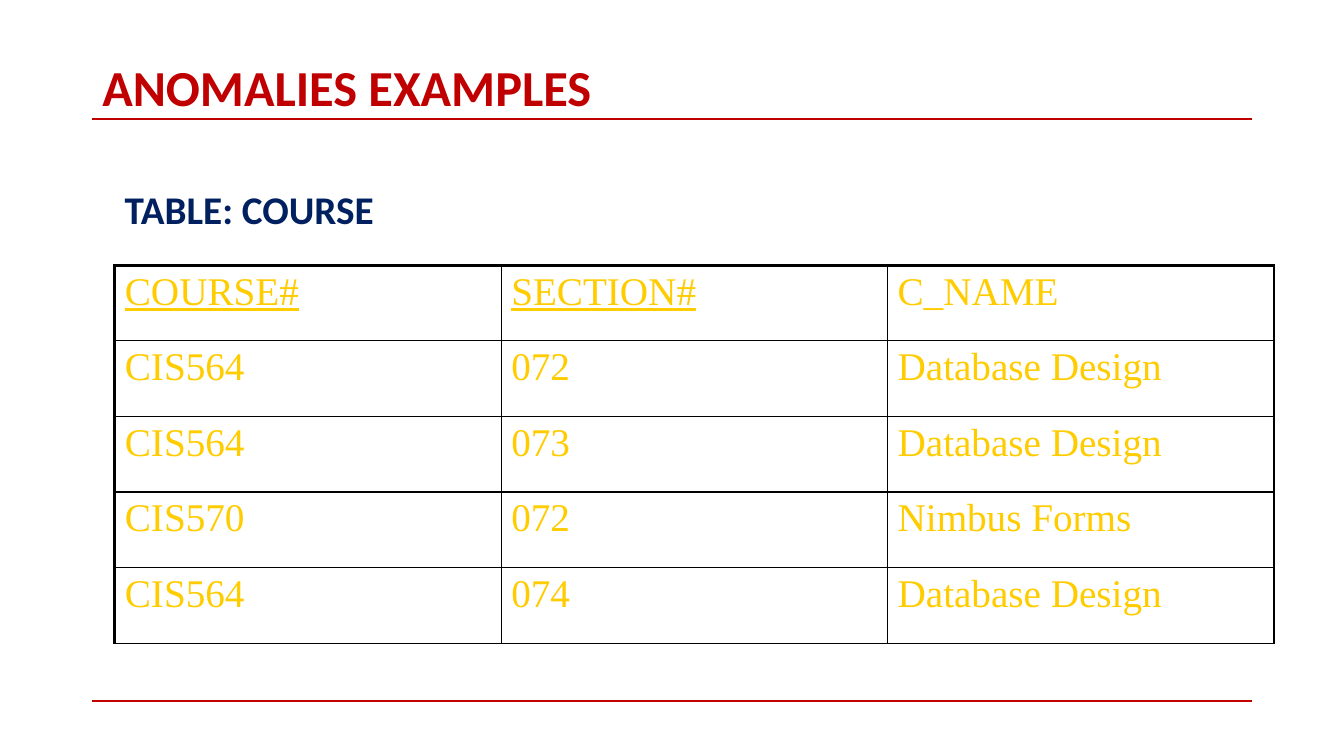
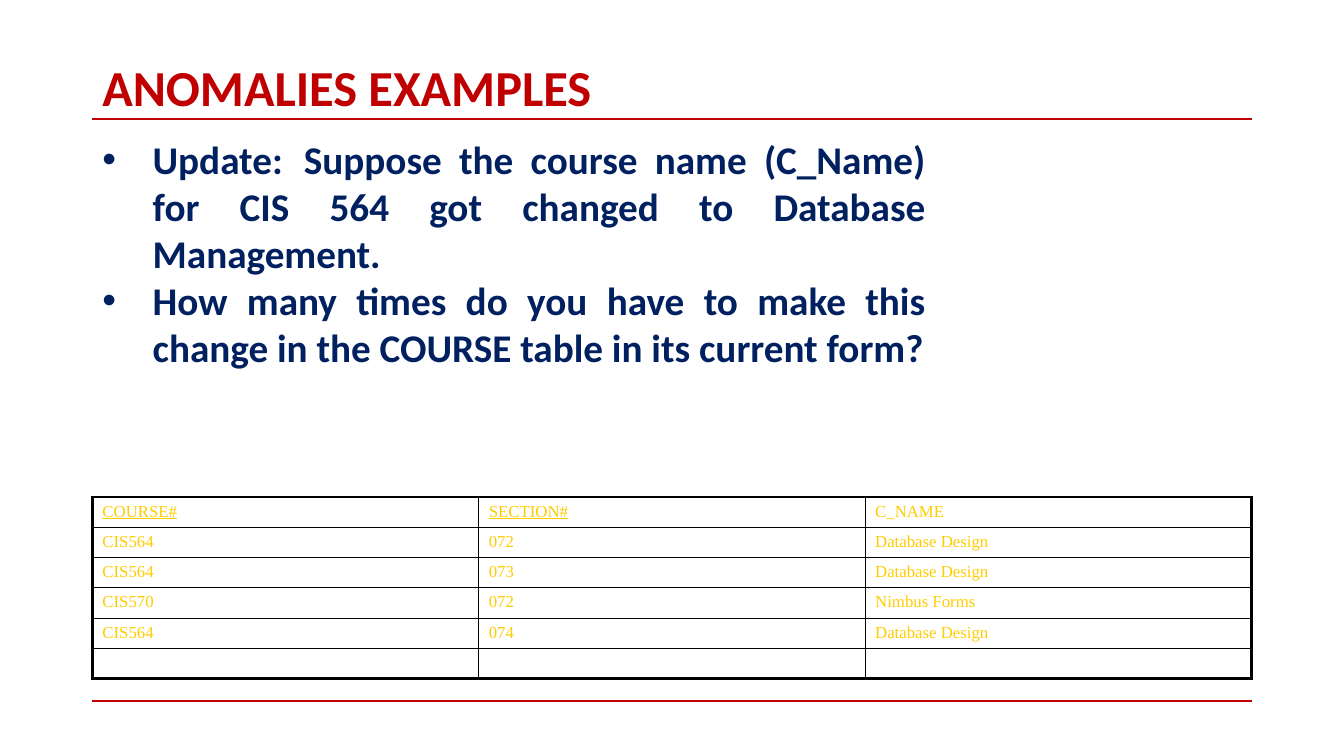
from lxml import etree
from pptx import Presentation
from pptx.dml.color import RGBColor
from pptx.enum.shapes import MSO_CONNECTOR
from pptx.enum.text import MSO_ANCHOR, PP_ALIGN
from pptx.oxml.ns import qn
from pptx.util import Pt

LINE = MSO_CONNECTOR.STRAIGHT
MIDDLE = MSO_ANCHOR.MIDDLE
JUSTIFY = PP_ALIGN.JUSTIFY

HUES = {"red": "C00000", "navy": "002060", "gold": "FFCC00", "black": "000000"}
SANS, SERIF = "Calibri", "Times New Roman"
LEFT, WIDTH = 66, 828
RULES = (85, 500.4)
THIN, THICK = 1, 2.25

COURSES = [
    ("COURSE#", "SECTION#", "C_NAME"),
    ("CIS564", "072", "Database Design"),
    ("CIS564", "073", "Database Design"),
    ("CIS570", "072", "Nimbus Forms"),
    ("CIS564", "074", "Database Design"),
]
KEYS = {"COURSE#", "SECTION#"}


def hue(name):
    return RGBColor.from_string(HUES[name])


def add_run(para, text, size, face, color, bold=False):
    run = para.add_run()
    run.text = text
    font = run.font
    font.size, font.name, font.bold = Pt(size), face, bold
    font.color.rgb = hue(color)
    return run


def add_box(slide, box):
    frame = slide.shapes.add_textbox(*map(Pt, box)).text_frame
    frame.word_wrap = True
    return frame


def add_frame(slide, title):
    """Draw the title and the two red rules every slide carries."""
    for y in RULES:
        rule = slide.shapes.add_connector(
            LINE, Pt(LEFT), Pt(y), Pt(LEFT + WIDTH), Pt(y))
        rule.line.color.rgb = hue("red")
        rule.line.width = Pt(1.5)
        etree.SubElement(rule._element.spPr, qn("a:effectLst"))
    frame = add_box(slide, (LEFT, 43.8, WIDTH, 42))
    frame.vertical_anchor = MIDDLE
    para = frame.paragraphs[0]
    para.line_spacing = 0.9
    add_run(para, title, 36, SANS, "red", bold=True)


def add_label(slide, box, text):
    add_run(add_box(slide, box).paragraphs[0], text, 28, SANS, "navy", bold=True)


def add_bullets(slide, box, items):
    frame = add_box(slide, box)
    for i, text in enumerate(items):
        para = frame.add_paragraph() if i else frame.paragraphs[0]
        para.alignment = JUSTIFY
        props = para._p.get_or_add_pPr()
        props.set("marL", str(Pt(36)))
        props.set("indent", str(-Pt(36)))
        etree.SubElement(props, qn("a:buFont"), typeface="Arial")
        etree.SubElement(props, qn("a:buChar"), char="•")
        add_run(para, text, 28, SANS, "navy", bold=True)


def set_edges(cell, widths):
    """Set border widths in points, keyed by side: L, R, T, B."""
    props = cell._tc.get_or_add_tcPr()
    for side, width in widths.items():
        edge = etree.SubElement(props, qn("a:ln" + side), w=str(Pt(width)))
        fill = etree.SubElement(edge, qn("a:solidFill"))
        etree.SubElement(fill, qn("a:srgbClr"), val=HUES["black"])


def add_grid(slide, box, rows, size, foot):
    """Draw a table with a thick outline; foot is the bottom line's width."""
    count, cols = len(rows), len(rows[0])
    grid = slide.shapes.add_table(count, cols, *map(Pt, box)).table
    grid.first_row = grid.horz_banding = False
    for r, row in enumerate(rows):
        grid.rows[r].height = Pt(box[3] / count)
        for c, text in enumerate(row):
            cell = grid.cell(r, c)
            set_edges(cell, {
                "L": THIN if c else THICK,
                "R": THICK if c == cols - 1 else THIN,
                "T": THIN if r else THICK,
                "B": foot if r == count - 1 else THIN,
            })
            cell.fill.background()
            para = cell.text_frame.paragraphs[0]
            if text:
                run = add_run(para, text, size, SERIF, "gold")
                run.font.underline = text in KEYS
            else:
                etree.SubElement(para._p, qn("a:endParaRPr"), sz=str(size * 100))


def add_course(deck, title):
    slide = deck.slides.add_slide(deck.slide_layouts[6])
    add_frame(slide, title)
    add_grid(slide, (82, 189.4, WIDTH, 270), COURSES, 28, THIN)
    add_label(slide, (82, 129, 221, 41), "TABLE: COURSE")


def add_update(deck, title):
    slide = deck.slides.add_slide(deck.slide_layouts[6])
    add_frame(slide, title)
    rows = COURSES + [("", "", "")]
    add_grid(slide, (LEFT, 355, WIDTH, 123), rows, 12, THICK)
    add_bullets(slide, (LEFT, 93, 602, 211), [
        "Update:\tSuppose the course name (C_Name) for CIS 564 got changed "
        "to Database Management.",
        "How many times do you have to make this change in the COURSE table "
        "in its current form?",
    ])


def main():
    deck = Presentation()
    deck.slide_width, deck.slide_height = Pt(960), Pt(540)
    title = "ANOMALIES EXAMPLES"
    add_course(deck, title)
    add_update(deck, title)
    deck.save("out.pptx")


if __name__ == "__main__":
    main()
